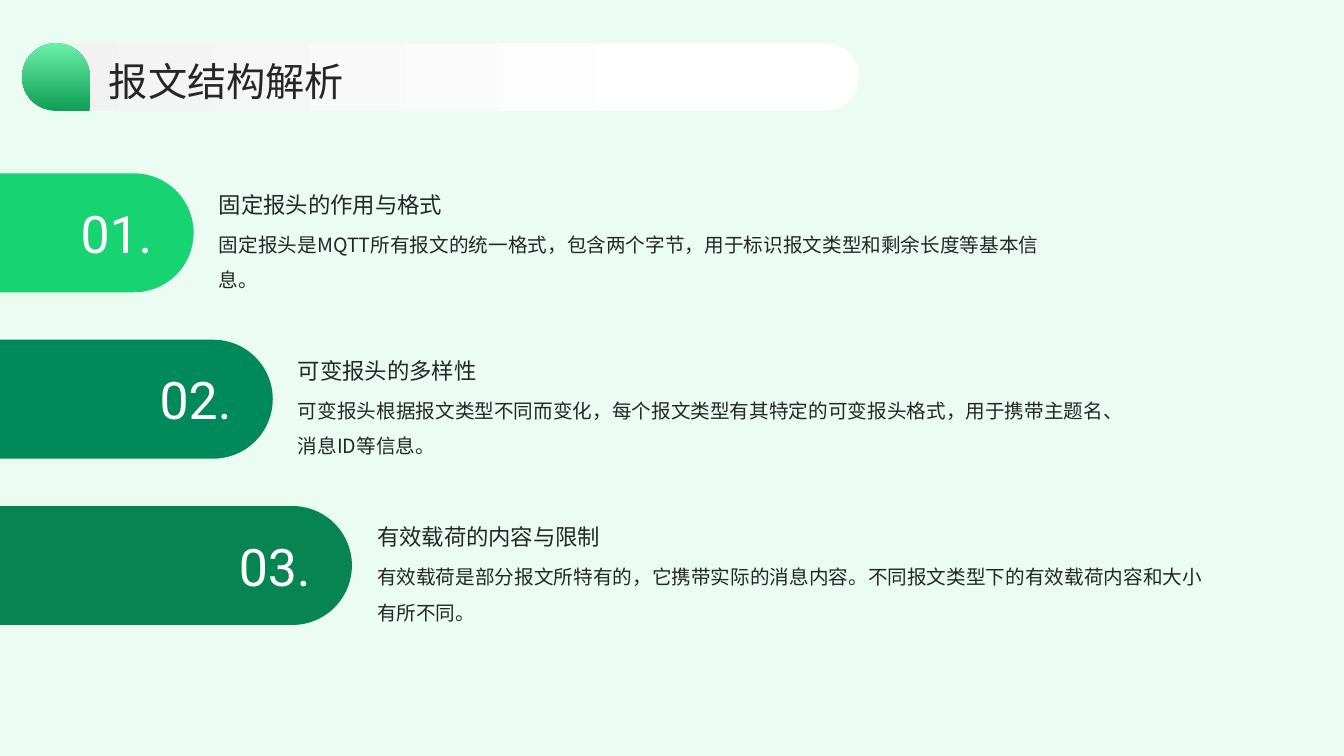
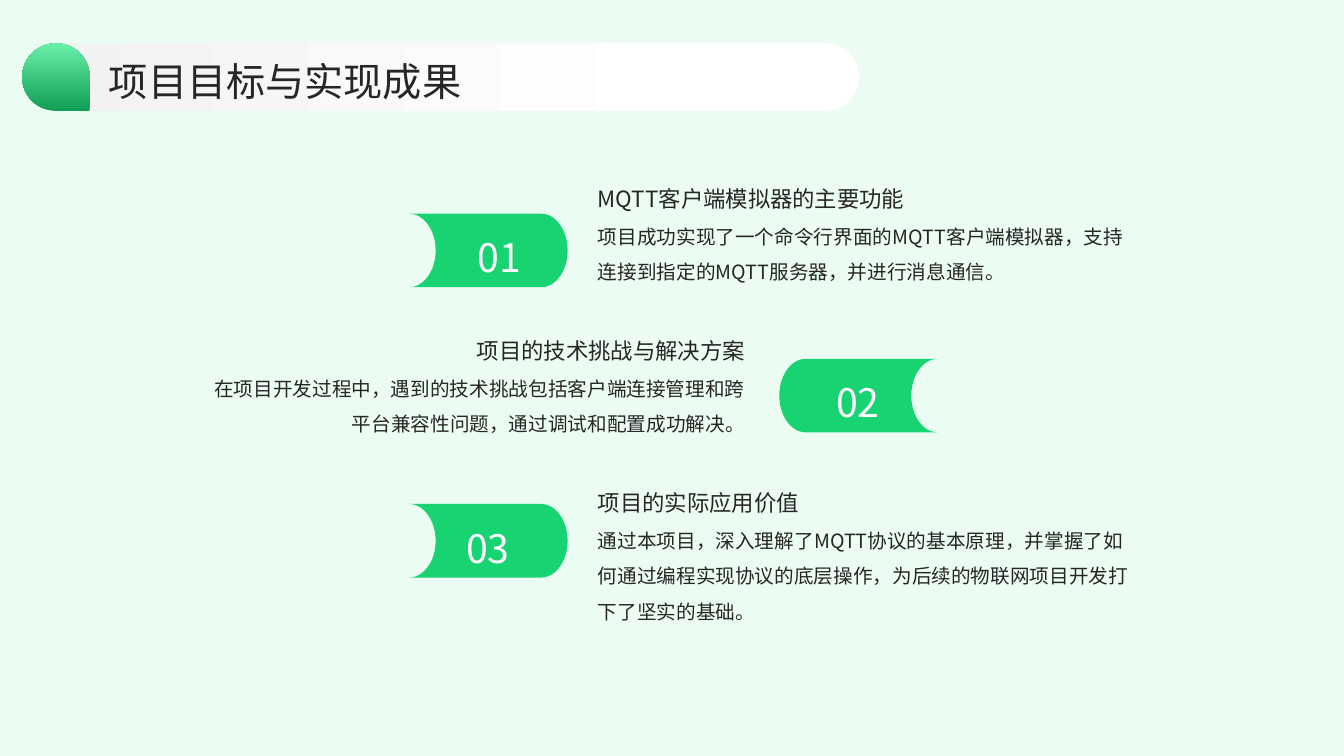
import dataclasses
from typing import Any, Optional

import pptx
import pptx.dml.color
import pptx.enum.shapes
import pptx.enum.text
import pptx.oxml.ns
import pptx.util
from pptx.util import Inches

# Shared look
COLORS = {
    "background": "EBFDF3",
    "text": "262626",
    "white": "FFFFFF",
    "band_gray": "F2F2F2",
    "green": "17D371",
    "teal": "008A5C",
    "forest": "068552",
    "drop_dark": "119E55",
    "drop_light": "6AEFA9",
}
CJK_FONT = "Noto Sans CJK SC"
NUMBER_FONT = "Roboto"
SHAPES = pptx.enum.shapes.MSO_SHAPE
ALIGN = pptx.enum.text.PP_ALIGN
ANCHOR = pptx.enum.text.MSO_ANCHOR


@dataclasses.dataclass(frozen=True)
class Box:
    left: float
    top: float
    width: float
    height: float

    def lengths(self) -> tuple:
        return tuple(Inches(value) for value in dataclasses.astuple(self))


@dataclasses.dataclass(frozen=True)
class TextStyle:
    size: float
    color: str = "text"
    font: str = CJK_FONT
    spacing: float = 1.0
    anchor: Any = ANCHOR.TOP
    align: Any = ALIGN.LEFT


@dataclasses.dataclass(frozen=True)
class Step:
    number: str
    color: str
    heading: str
    body: str


@dataclasses.dataclass(frozen=True)
class Result:
    number: str
    number_inset: float
    on_left: bool
    heading: str
    body: str


TITLE = TextStyle(28, spacing=1.1, anchor=ANCHOR.MIDDLE)
HEADING = TextStyle(16, spacing=1.3, anchor=ANCHOR.BOTTOM)
BODY = TextStyle(14, spacing=1.5)
STEP_NUMBER = TextStyle(37, "white", NUMBER_FONT, anchor=ANCHOR.MIDDLE, align=ALIGN.RIGHT)
RESULT_NUMBER = TextStyle(28, "white", spacing=1.3, anchor=ANCHOR.MIDDLE, align=ALIGN.CENTER)

STEPS = [
    Step("01.", "green", "固定报头的作用与格式",
         "固定报头是MQTT所有报文的统一格式，包含两个字节，用于标识报文类型和剩余长度等基本信息。"),
    Step("02.", "teal", "可变报头的多样性",
         "可变报头根据报文类型不同而变化，每个报文类型有其特定的可变报头格式，用于携带主题名、消息ID等信息。"),
    Step("03.", "forest", "有效载荷的内容与限制",
         "有效载荷是部分报文所特有的，它携带实际的消息内容。不同报文类型下的有效载荷内容和大小有所不同。"),
]
RESULTS = [
    Result("01", 0.41, True, "MQTT客户端模拟器的主要功能",
           "项目成功实现了一个命令行界面的MQTT客户端模拟器，支持连接到指定的MQTT服务器，并进行消息通信。"),
    Result("02", 0.3, False, "项目的技术挑战与解决方案",
           "在项目开发过程中，遇到的技术挑战包括客户端连接管理和跨平台兼容性问题，通过调试和配置成功解决。"),
    Result("03", 0.3, True, "项目的实际应用价值",
           "通过本项目，深入理解了MQTT协议的基本原理，并掌握了如何通过编程实现协议的底层操作，"
           "为后续的物联网项目开发打下了坚实的基础。"),
]


# Drawing helpers
def rgb(name: str) -> pptx.dml.color.RGBColor:
    return pptx.dml.color.RGBColor.from_string(COLORS[name])


def set_values(target: Any, values: dict) -> None:
    for name, value in values.items():
        setattr(target, name, value)


def add_shape(slide: Any, kind: Any, box: Box, color: Optional[str] = None,
              rotation: float = 0, flip: bool = False) -> Any:
    shape = slide.shapes.add_shape(kind, *box.lengths())
    shape.shadow.inherit = False
    shape.line.fill.background()
    shape.rotation = rotation
    if color:
        shape.fill.solid()
        shape.fill.fore_color.rgb = rgb(color)
    if flip:
        shape._element.spPr.find(pptx.oxml.ns.qn("a:xfrm")).set("flipH", "1")
    return shape


def fill_gradient(shape: Any, angle: float, stops: list[tuple[float, str]]) -> None:
    shape.fill.gradient()
    shape.fill.gradient_angle = angle
    for stop, (position, color) in zip(shape.fill.gradient_stops, stops):
        stop.position = position
        stop.color.rgb = rgb(color)


def add_text(slide: Any, box: Box, text: str, style: TextStyle) -> None:
    frame = slide.shapes.add_textbox(*box.lengths()).text_frame
    set_values(frame, {
        "word_wrap": True, "vertical_anchor": style.anchor,
        "margin_left": 0, "margin_top": 0, "margin_right": 0, "margin_bottom": 0,
    })
    paragraph = frame.paragraphs[0]
    set_values(paragraph, {"alignment": style.align, "line_spacing": style.spacing})
    run = paragraph.add_run()
    run.text = text
    set_values(run.font, {"size": pptx.util.Pt(style.size), "name": style.font})
    run.font.color.rgb = rgb(style.color)
    east_asian = pptx.oxml.parse_xml(
        f'<a:ea {pptx.oxml.ns.nsdecls("a")} typeface="{style.font}"/>')
    run.font._element.append(east_asian)


def add_slide(presentation: Any) -> Any:
    slide = presentation.slides.add_slide(presentation.slide_layouts[6])
    slide.background.fill.solid()
    slide.background.fill.fore_color.rgb = rgb("background")
    return slide


def add_title(slide: Any, title: str) -> None:
    band = add_shape(slide, SHAPES.ROUNDED_RECTANGLE, Box(0.22, 0.43, 8.3, 0.67))
    band.adjustments[0] = 0.5
    fill_gradient(band, 0, [(0, "band_gray"), (0.8, "white")])
    drop = add_shape(slide, SHAPES.TEAR, Box(0.22, 0.43, 0.67, 0.67), rotation=180, flip=True)
    fill_gradient(drop, 270, [(0, "drop_dark"), (1, "drop_light")])
    add_text(slide, Box(1.08, 0.52, 11.88, 0.51), title, TITLE)


# Staircase of bars growing from the left edge
def add_step(slide: Any, index: int, step: Step) -> None:
    start, thickness = -0.05, 1.18
    top = 1.72 + 1.65 * index
    right = 1.92 + 0.785 * index
    length = right - start
    # The bar stands upright before its quarter turn
    upright = Box((start + right - thickness) / 2, top + (thickness - length) / 2,
                  thickness, length)
    bar = add_shape(slide, SHAPES.ROUND_2_SAME_RECTANGLE, upright, step.color, rotation=90)
    bar.adjustments[0] = 0.5
    bar.adjustments[1] = 0
    add_text(slide, Box(right - 1.53, top + 0.28, 1.12, 0.62), step.number, STEP_NUMBER)
    text_left = right + 0.25
    add_text(slide, Box(text_left, top + 0.01, 8.27, 0.43), step.heading, HEADING)
    add_text(slide, Box(text_left, top + 0.47, 8.27, 0.79), step.body, BODY)


# Zigzag of tags, each with its text on the opposite side
def add_result(slide: Any, index: int, result: Result) -> None:
    tag_left, text_left, align = (
        (4.06, 5.93, ALIGN.LEFT) if result.on_left else (7.73, 2.03, ALIGN.RIGHT))
    tag_top = 2.12 + 1.44 * index
    text_top = 1.69 + 1.51 * index
    add_shape(slide, SHAPES.FLOWCHART_STORED_DATA, Box(tag_left, tag_top, 1.57, 0.73),
              "green", flip=result.on_left)
    add_text(slide, Box(tag_left + result.number_inset, tag_top - 0.05, 0.96, 0.82),
             result.number, RESULT_NUMBER)
    add_text(slide, Box(text_left, text_top, 5.36, 0.41), result.heading,
             dataclasses.replace(HEADING, align=align))
    add_text(slide, Box(text_left, text_top + 0.42, 5.36, 1.12), result.body,
             dataclasses.replace(BODY, align=align))


def main() -> None:
    presentation = pptx.Presentation()
    set_values(presentation, {"slide_width": Inches(13.33), "slide_height": Inches(7.5)})
    pages = [
        ("报文结构解析", add_step, STEPS),
        ("项目目标与实现成果", add_result, RESULTS),
    ]
    for title, add_item, items in pages:
        slide = add_slide(presentation)
        for index, item in enumerate(items):
            add_item(slide, index, item)
        add_title(slide, title)
    presentation.save("out.pptx")


if __name__ == "__main__":
    main()
